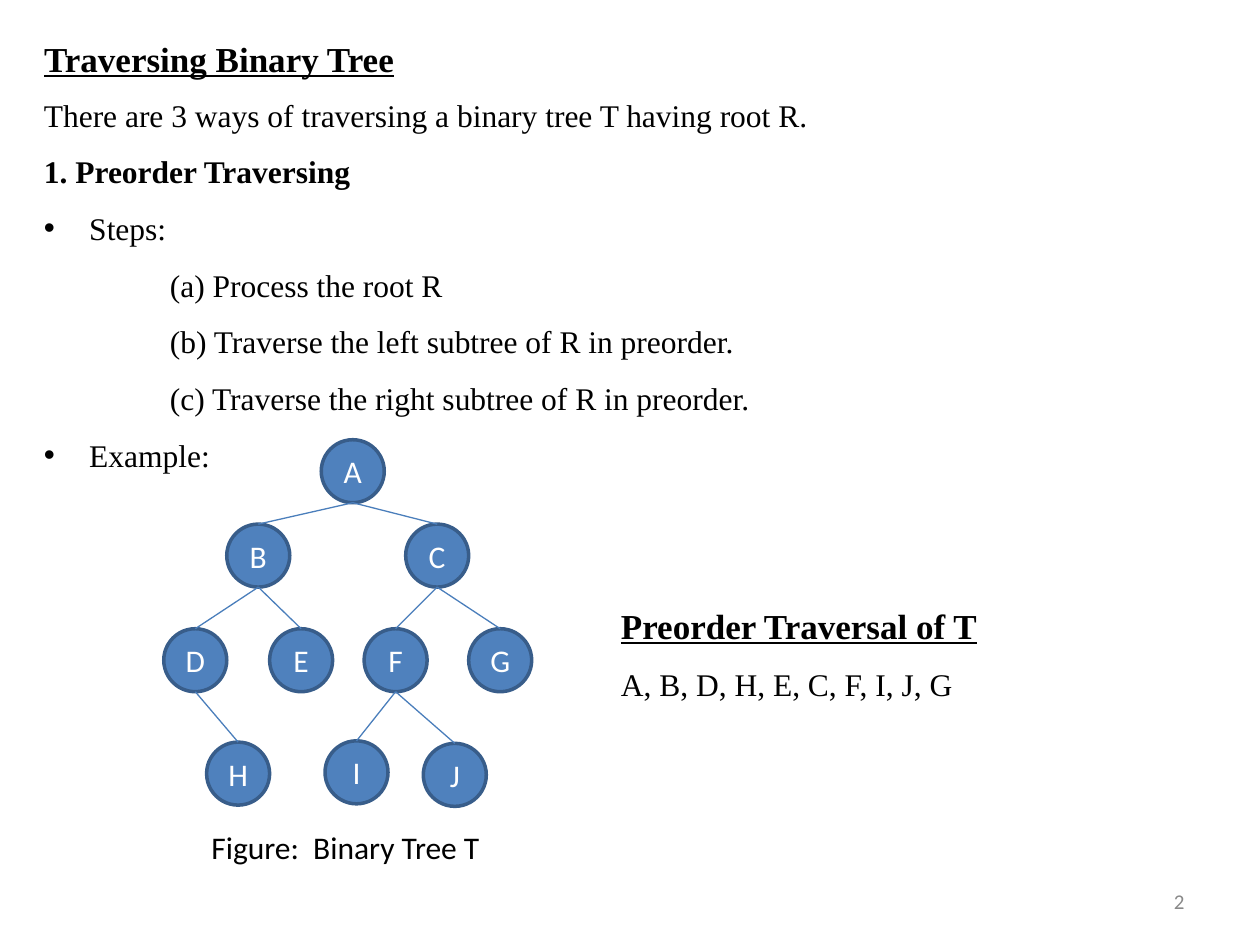
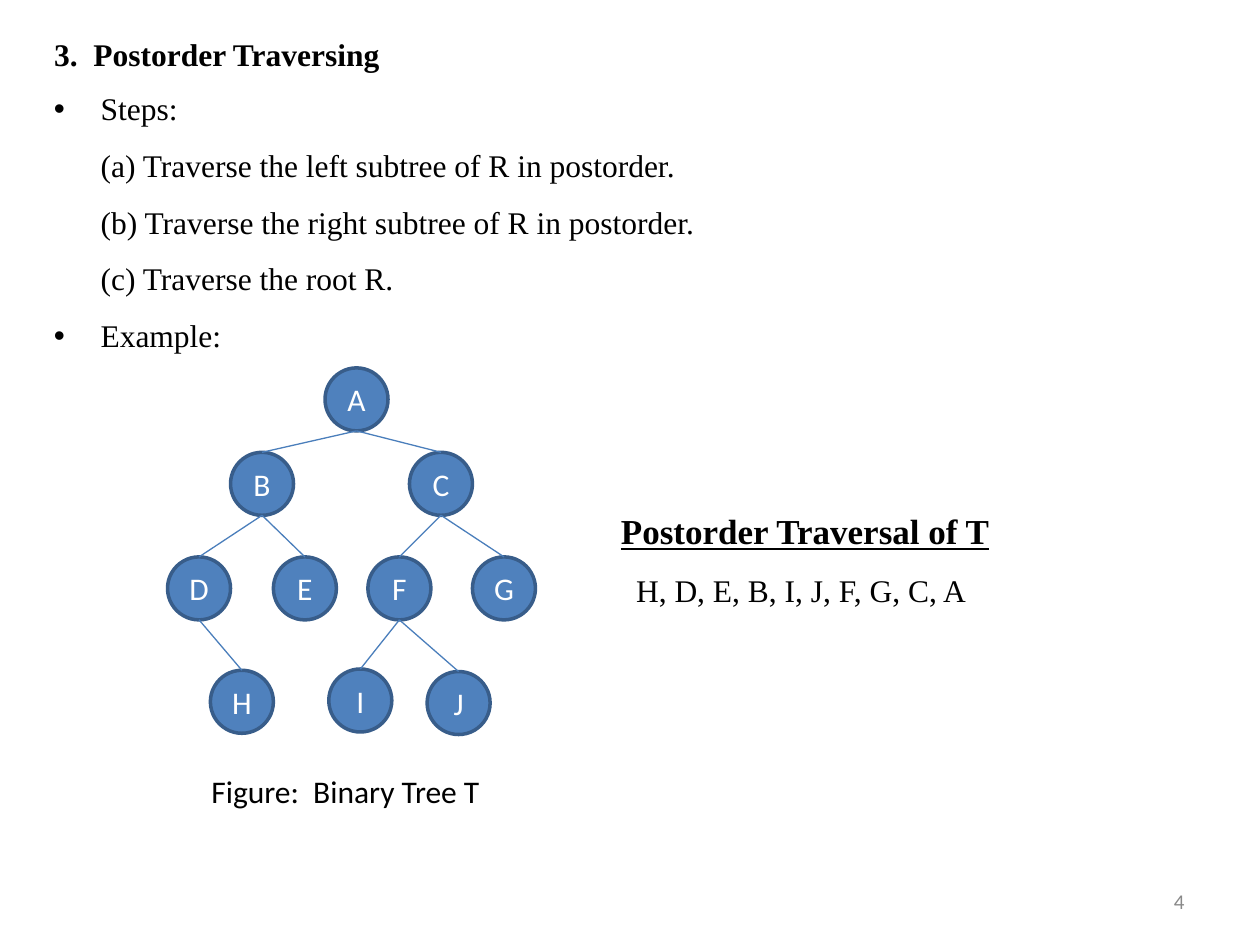
from lxml import etree
from pptx import Presentation, util as u
from pptx.dml.color import RGBColor
from pptx.enum import shapes, text
from pptx.oxml import ns

presentation = Presentation()
presentation.slide_width, presentation.slide_height = u.Inches(10), u.Inches(7.5)
# Ten columns across; rows are as tall as columns are wide
UNIT = presentation.slide_width / 10

# Shared styles
BLACK, GREY, WHITE = "000000", "898989", "FFFFFF"
NODE_FILL, NODE_LINE, EDGE = "4F81BD", "385D8A", "4A7EBB"
SERIF = {"name": "Times New Roman", "size": u.Pt(18), "bold": False}
SANS = {"name": "Calibri", "size": u.Pt(18)}
BOLD = {**SERIF, "bold": True}
HEADING = {**BOLD, "size": u.Pt(20), "underline": True}
LEFT, CENTER, RIGHT = text.PP_ALIGN.LEFT, text.PP_ALIGN.CENTER, text.PP_ALIGN.RIGHT
TOP, MIDDLE = text.MSO_ANCHOR.TOP, text.MSO_ANCHOR.MIDDLE
TITLE_TOP, INSET = 0.08, 0.05

# Tree: column and row of each node from the tree's corner, then its edges
NODE_SIZE = 0.5
NODES = {"A": (1.25, 0), "B": (0.5, 0.67), "C": (1.92, 0.67),
         "D": (0, 1.5), "E": (0.84, 1.5), "F": (1.59, 1.5), "G": (2.42, 1.5),
         "H": (0.34, 2.4), "I": (1.28, 2.39), "J": (2.06, 2.41)}
EDGES = ["AB", "AC", "BE", "BD", "CG", "CF", "DH", "FI", "FJ"]

SLIDES = [
    {"number": "2", "left": 0.25, "title": ("Traversing Binary Tree", HEADING), "title_line": 0.48,
     "bullet_indent": 0.36, "step_indent": 1,
     "intro": [("There are 3 ways of traversing a binary tree T having root R.", SERIF),
               ("1. Preorder Traversing", BOLD)],
     "steps": ["(a) Process the root R",
               "(b) Traverse the left subtree of R in preorder.",
               "(c) Traverse the right subtree of R in preorder."],
     "body_height": 3.67, "tree": (1.3, 3.49), "answer_top": 4.58, "caption_top": 6.52,
     "answer": ("Preorder Traversal of T", "A, B, D, H, E, C, F, I, J, G", 0)},
    {"number": "4", "left": 0.33, "title": ("3.  Postorder Traversing", BOLD), "title_line": 0.43,
     "bullet_indent": 0.37, "step_indent": 0.37,
     "intro": [],
     "steps": ["(a) Traverse the left subtree of R in postorder.",
               "(b) Traverse the right subtree of R in postorder.",
               "(c) Traverse the root R."],
     "body_height": 2.77, "tree": (1.33, 2.92), "answer_top": 3.83, "caption_top": 6.08,
     "answer": ("Postorder Traversal of T", "H, D, E, B, I, J, F, G, C, A", 0.12)},
]


def place(*lengths):
    return [round(length * UNIT) for length in lengths]


def write(shape, lines, color=BLACK, align=LEFT, anchor=TOP, spacing=1.0, **margins):
    """Write lines of (words, font format, indent, bulleted) into a shape."""
    frame = shape.text_frame
    settings = {"word_wrap": True, "auto_size": text.MSO_AUTO_SIZE.NONE,
                "vertical_anchor": anchor, **margins}
    for name, value in settings.items():
        setattr(frame, name, value)
    for index, (words, style, indent, bulleted) in enumerate(lines):
        paragraph = frame.paragraphs[0] if index == 0 else frame.add_paragraph()
        properties = paragraph._p.get_or_add_pPr()
        properties.set("marL", str(place(indent)[0]))
        properties.set("indent", str(place(-indent)[0] if bulleted else 0))
        if bulleted:
            etree.SubElement(properties, ns.qn("a:buFont"), typeface="Arial")
            etree.SubElement(properties, ns.qn("a:buChar"), char="•")
        paragraph.alignment, paragraph.line_spacing = align, spacing
        run = paragraph.add_run()
        run.text = words
        for name, value in style.items():
            setattr(run.font, name, value)
        run.font.color.rgb = RGBColor.from_string(color)


for content in SLIDES:
    slide = presentation.slides.add_slide(presentation.slide_layouts[5])

    # Title
    title = slide.shapes.title
    title_height = INSET + content["title_line"]
    box = place(content["left"], TITLE_TOP, 9.25, title_height)
    title.left, title.top, title.width, title.height = box
    write(title, [(*content["title"], 0, False)], spacing=1.5, margin_bottom=0)

    # Steps, directly below the title
    body = slide.shapes.add_textbox(
        *place(content["left"], TITLE_TOP + title_height, 9.25, content["body_height"]))
    bullet = content["bullet_indent"]
    lines = [(*line, 0, False) for line in content["intro"]]
    lines.append(("Steps:", SERIF, bullet, True))
    lines += [(step, SERIF, content["step_indent"], False) for step in content["steps"]]
    lines.append(("Example:", SERIF, bullet, True))
    write(body, lines, spacing=1.5, margin_top=0)

    # Tree nodes
    tree = slide.shapes.add_group_shape()
    tree_left, tree_top = content["tree"]
    for letter, (column, row) in NODES.items():
        node = tree.shapes.add_shape(
            shapes.MSO_SHAPE.OVAL,
            *place(tree_left + column, tree_top + row, NODE_SIZE, NODE_SIZE))
        node.shadow.inherit = False
        node.fill.solid()
        node.fill.fore_color.rgb = RGBColor.from_string(NODE_FILL)
        node.line.color.rgb = RGBColor.from_string(NODE_LINE)
        node.line.width = u.Pt(2)
        write(node, [(letter, SANS, 0, False)], WHITE, CENTER, MIDDLE)

    # Tree edges, from the bottom of the parent to the top of the child
    for parent, child in EDGES:
        (from_column, from_row), (to_column, to_row) = NODES[parent], NODES[child]
        center = tree_left + NODE_SIZE / 2
        edge = tree.shapes.add_connector(
            shapes.MSO_CONNECTOR.STRAIGHT,
            *place(center + from_column, tree_top + from_row + NODE_SIZE,
                   center + to_column, tree_top + to_row))
        edge.line.color.rgb = RGBColor.from_string(EDGE)
        edge.line.width = u.Pt(0.75)
        etree.SubElement(edge._element.spPr, ns.qn("a:effectLst"))

    # Traversal result
    heading, order, indent = content["answer"]
    answer = slide.shapes.add_textbox(*place(4.83, content["answer_top"], 4, 1.05))
    write(answer, [(heading, HEADING, 0, False), (order, SERIF, indent, False)], spacing=1.5)

    # Caption and slide number
    caption = slide.shapes.add_textbox(*place(1.58, content["caption_top"], 4.5, 0.4))
    write(caption, [("Figure:  Binary Tree T", SANS, 0, False)])
    number = slide.shapes.add_textbox(*place(7.17, 6.95, 2.33, 0.4))
    write(number, [(content["number"], {**SANS, "size": u.Pt(12)}, 0, False)],
          GREY, RIGHT, MIDDLE)

presentation.save("out.pptx")
